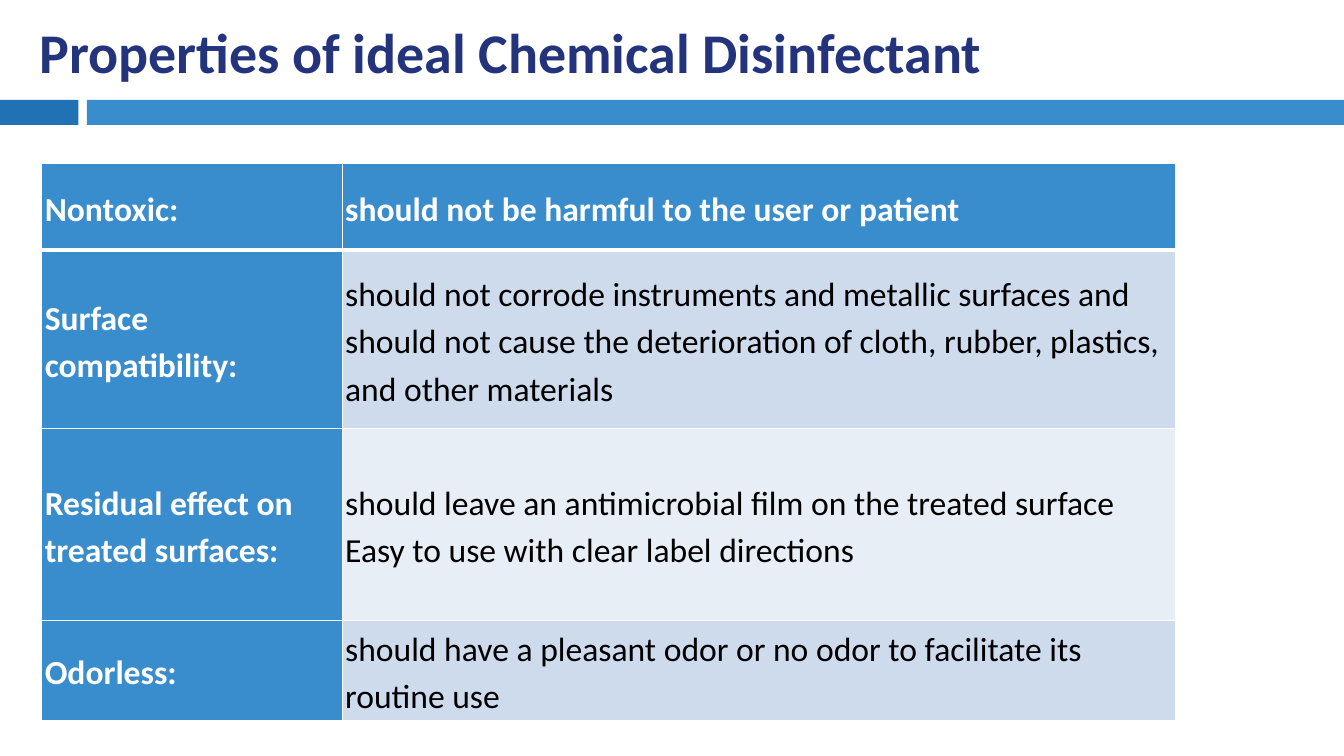
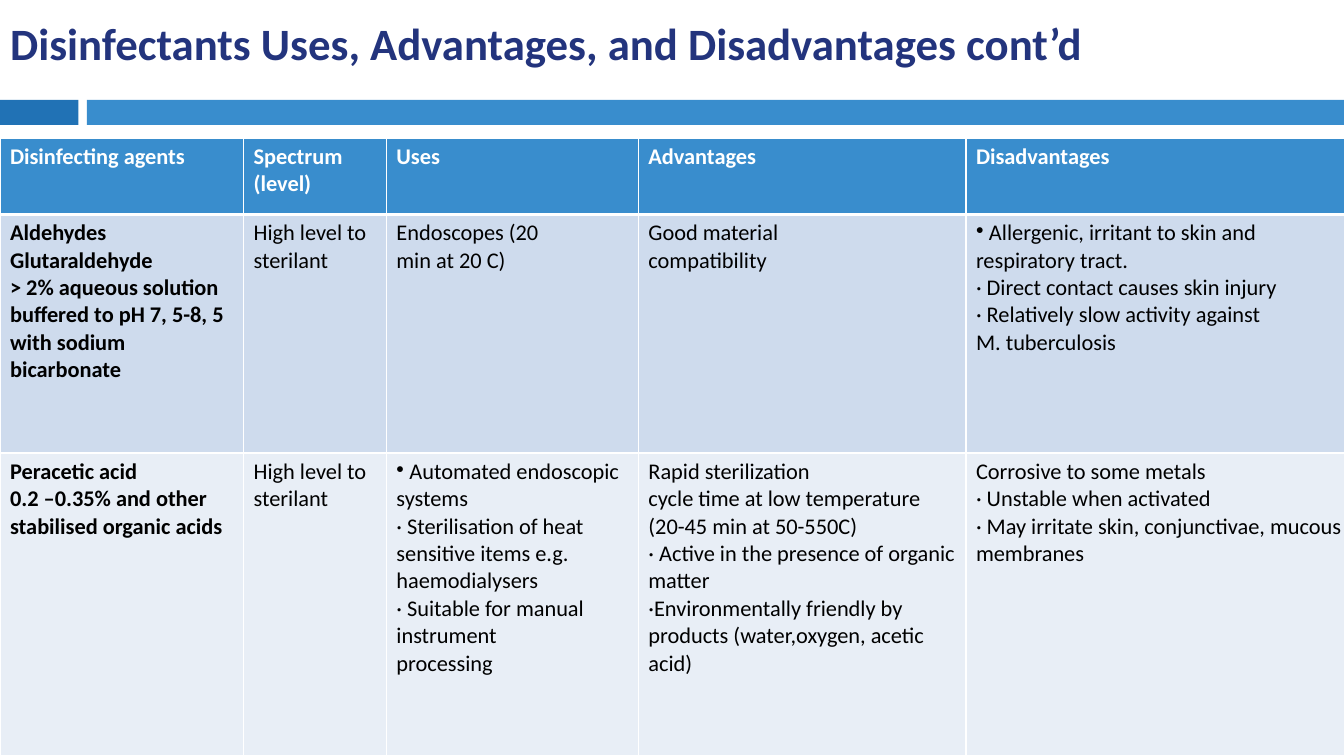
from lxml import etree
from pptx import Presentation
from pptx.dml.color import RGBColor
from pptx.enum import shapes, text
from pptx.oxml import ns
from pptx.util import Pt


def color(code):
    return RGBColor.from_string(code)


class Deck:
    font = "Calibri"
    navy, dark, blue = "23347D", "2172B5", "398DCD"
    white, black = "FFFFFF", "000000"
    bands = ("CEDBED", "E8EEF6")

    def __init__(self):
        self.prs = Presentation()
        self.prs.slide_width, self.prs.slide_height = Pt(960), Pt(540)
        self.slide = None

    def page(self, title, left, top, width, height, size):
        self.slide = self.prs.slides.add_slide(self.prs.slide_layouts[5])
        box = self.slide.shapes.title
        box.left, box.top, box.width, box.height = map(Pt, (left, top, width, height))
        frame = box.text_frame
        frame.text = title
        frame.word_wrap = True
        frame.auto_size = text.MSO_AUTO_SIZE.NONE
        frame.vertical_anchor = text.MSO_ANCHOR.MIDDLE
        frame.paragraphs[0].alignment = text.PP_ALIGN.LEFT
        self.style(frame, size, self.navy, True)
        self.bar(0, 56, self.dark)
        self.bar(62, 898, self.blue)

    def bar(self, left, width, fill):
        bar = self.slide.shapes.add_shape(
            shapes.MSO_SHAPE.RECTANGLE, Pt(left), Pt(71.3), Pt(width), Pt(18))
        bar.shadow.inherit = False
        bar.fill.solid()
        bar.fill.fore_color.rgb = color(fill)
        bar.line.fill.background()

    def style(self, frame, size, ink, bold):
        for par in frame.paragraphs:
            for run in par.runs:
                run.font.name = self.font
                run.font.size = Pt(size)
                run.font.bold = bold
                run.font.color.rgb = color(ink)

    def bullet(self, par):
        par.text = par.text[1:]
        props = par._p.get_or_add_pPr()
        props.set("marL", "0")
        props.set("indent", "0")
        etree.SubElement(props, ns.qn("a:buChar"), char="•")

    def edges(self, cell, row):
        thick = {"T": row == 1, "B": row == 0}
        props = cell._tc.get_or_add_tcPr()
        for spot, side in enumerate("LRTB"):
            width = Pt(3 if thick.get(side) else 1)
            line = etree.Element(ns.qn("a:ln" + side), w=str(width))
            fill = etree.SubElement(line, ns.qn("a:solidFill"))
            etree.SubElement(fill, ns.qn("a:srgbClr"), val=self.white)
            props.insert(spot, line)

    def table(self, left, top, cols, rows, data, size, side=False, inset=None, space=None):
        grid = self.slide.shapes.add_table(
            len(rows), len(cols), Pt(left), Pt(top), Pt(sum(cols)), Pt(sum(rows))).table
        grid.first_row = grid.horz_banding = False
        for col, width in zip(grid.columns, cols):
            col.width = Pt(width)
        for r, (row, height) in enumerate(zip(grid.rows, rows)):
            row.height = Pt(height)
            for c, cell in enumerate(row.cells):
                head = r == 0 or (side and c == 0)
                cell.fill.solid()
                cell.fill.fore_color.rgb = color(self.blue if head else self.bands[(r - 1) % 2])
                self.edges(cell, r)
                if inset:
                    cell.margin_left = cell.margin_right = Pt(inset)
                    cell.margin_top = cell.margin_bottom = Pt(inset)
                    cell.vertical_anchor = text.MSO_ANCHOR.MIDDLE
                frame = cell.text_frame
                frame.text = data[r][c]
                for par in frame.paragraphs:
                    if par.text.startswith("•"):
                        self.bullet(par)
                    if space:
                        par.line_spacing = space
                self.style(frame, size, self.white if head else self.black, head or c == 0)


def main():
    deck = Deck()

    deck.page("Properties of ideal Chemical Disinfectant", 21, 7.2, 856, 58.3, 40)
    traits = [
        ("Nontoxic:", "should not be harmful to the user or patient"),
        ("Surface compatibility:",
         "should not corrode instruments and metallic surfaces and should not cause "
         "the deterioration of cloth, rubber, plastics, and other materials"),
        ("Residual effect on treated surfaces:",
         "should leave an antimicrobial film on the treated surface "
         "Easy to use with clear label directions"),
        ("Odorless:",
         "should have a pleasant odor or no odor to facilitate its routine use"),
    ]
    deck.table(29.8, 116.8, (214.6, 595.2), (62, 127.4, 136.8, 70.8), traits, 24,
               side=True, inset=2.2, space=1.15)

    deck.page("Disinfectants Uses, Advantages, and Disadvantages cont’d", 0, 7.2, 960, 46.8, 32)
    agents = [
        ("Disinfecting agents", "Spectrum\n(level)", "Uses", "Advantages", "Disadvantages"),
        ("Aldehydes\nGlutaraldehyde\n> 2% aqueous solution buffered to pH 7, 5-8, 5\n"
         "with sodium bicarbonate",
         "High level to\nsterilant",
         "Endoscopes (20\nmin at 20 C)",
         "Good material\ncompatibility",
         "• Allergenic, irritant to skin and respiratory tract.\n"
         "· Direct contact causes skin injury\n"
         "· Relatively slow activity against\nM. tuberculosis"),
        ("Peracetic acid\n0.2 –0.35% and other stabilised organic acids",
         "High level to sterilant",
         "• Automated endoscopic systems\n"
         "· Sterilisation of heat sensitive items e.g.\nhaemodialysers\n"
         "· Suitable for manual instrument\nprocessing",
         "Rapid sterilization\ncycle time at low temperature (20-45 min at 50-550C)\n"
         "· Active in the presence of organic matter\n"
         "·Environmentally friendly by products (water,oxygen, acetic acid)",
         "Corrosive to some metals\n· Unstable when activated\n"
         "· May irritate skin, conjunctivae, mucous membranes"),
    ]
    deck.table(0, 98.6, (174, 102, 180, 234, 282), (54.6, 170.4, 216.4), agents, 16)

    deck.prs.save("out.pptx")


if __name__ == "__main__":
    main()
